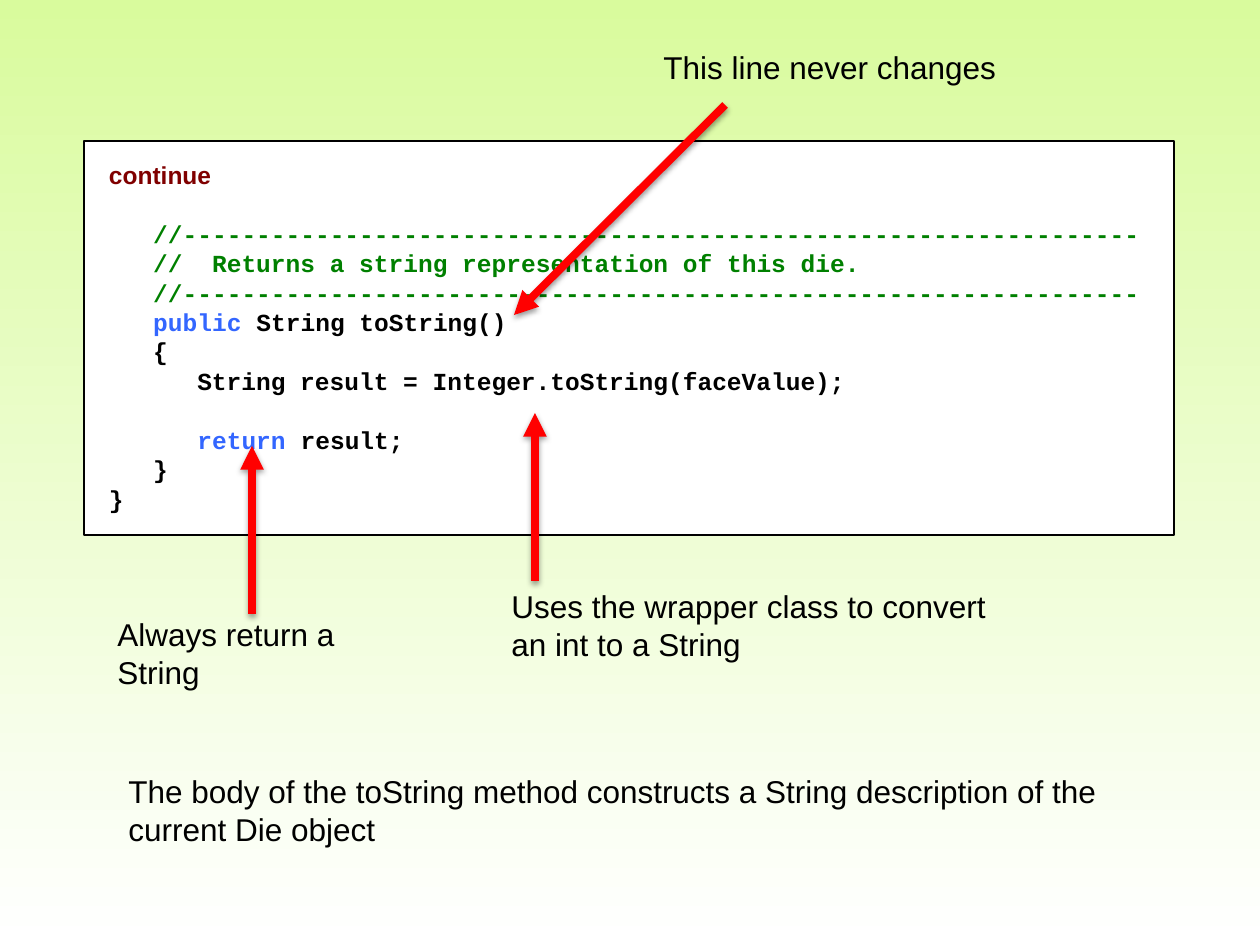
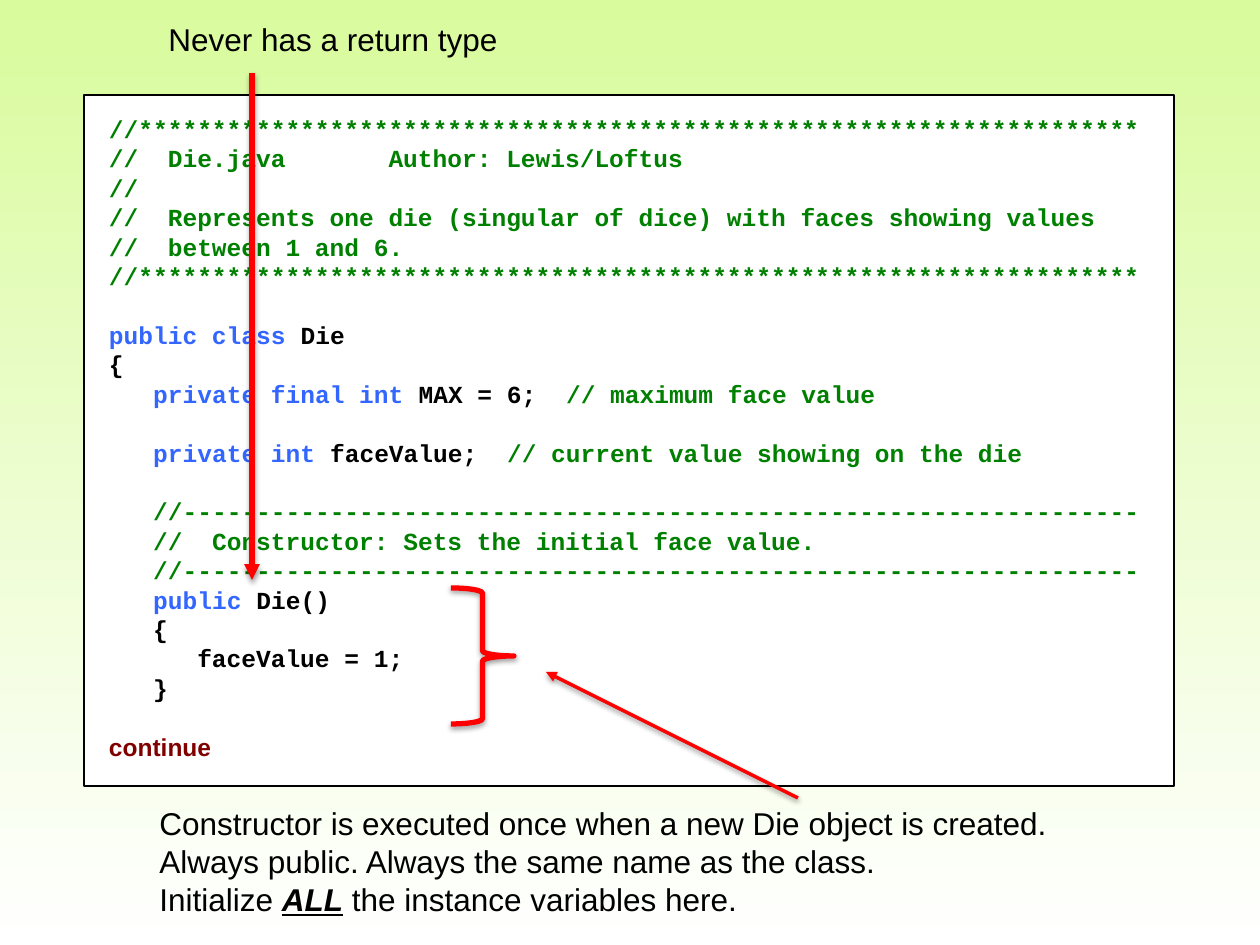
from dataclasses import dataclass

import lxml.etree
import pptx
import pptx.dml.color
import pptx.enum.dml
import pptx.enum.shapes
import pptx.enum.text
import pptx.oxml
import pptx.oxml.ns
import pptx.shapes.base
import pptx.slide
import pptx.text.text
import pptx.util


@dataclass(frozen=True)
class Theme:
    top: str = "D9FB9D"
    bottom: str = "FFFFFF"
    panel: str = "FFFFFF"
    text: str = "000000"
    comment: str = "008000"
    keyword: str = "3366FF"
    marker: str = "800000"
    accent: str = "FF0000"
    sans: str = "Arial"
    mono: str = "Courier New"
    code_size: int = 14
    label_size: int = 18
    leading: float = 1.2


@dataclass(frozen=True)
class Box:
    left: int
    top: int
    width: int
    height: int


@dataclass(frozen=True)
class Label:
    box: Box
    lines: tuple[str, ...]
    stressed: str = ""


@dataclass(frozen=True)
class Arrow:
    start: tuple[int, int]
    end: tuple[int, int]
    weight: float


THEME = Theme()
PX_PER_INCH = 126
MARKER = "continue"
KEYWORDS = {"public", "private", "class", "final", "int", "return"}
STARS = "//" + "*" * 68
RULE = "   //" + "-" * 65

TO_STRING_CODE = f"""continue

{RULE}
   //  Returns a string representation of this die.
{RULE}
   public String toString()
   {{
      String result = Integer.toString(faceValue);

      return result;
   }}
}}"""

DIE_CODE = f"""{STARS}
//  Die.java       Author: Lewis/Loftus
//
//  Represents one die (singular of dice) with faces showing values
//  between 1 and 6.
{STARS}

public class Die
{{
   private final int MAX = 6;  // maximum face value

   private int faceValue;  // current value showing on the die

{RULE}
   //  Constructor: Sets the initial face value.
{RULE}
   public Die()
   {{
      faceValue = 1;
   }}

continue"""


def px(n: int) -> int:
    return round(n * pptx.util.Inches(1) / PX_PER_INCH)


def rgb(color: str) -> pptx.dml.color.RGBColor:
    return pptx.dml.color.RGBColor.from_string(color)


def place(box: Box) -> tuple[int, ...]:
    return tuple(px(n) for n in (box.left, box.top, box.width, box.height))


def add_run(p: pptx.text.text._Paragraph, text: str, *, font: str = THEME.sans,
            size: int = THEME.label_size, color: str = THEME.text, bold: bool = False,
            italic: bool = False, underline: bool = False) -> None:
    r = p.add_run()
    r.text = text
    r.font.name = font
    r.font.size = pptx.util.Pt(size)
    r.font.color.rgb = rgb(color)
    r.font.bold = bold
    r.font.italic = italic
    r.font.underline = underline


def add_line(tf: pptx.text.text.TextFrame, first: bool,
             size: int) -> pptx.text.text._Paragraph:
    p = tf.paragraphs[0] if first else tf.add_paragraph()
    p.alignment = pptx.enum.text.PP_ALIGN.LEFT
    p.line_spacing = pptx.util.Pt(size * THEME.leading)
    return p


def add_shadow(sp: pptx.shapes.base.BaseShape) -> None:
    sp._element.spPr.append(pptx.oxml.parse_xml(
        f'<a:effectLst {pptx.oxml.ns.nsdecls("a")}>'
        '<a:outerShdw blurRad="40000" dist="20000" dir="5400000" rotWithShape="0">'
        '<a:srgbClr val="000000"><a:alpha val="38000"/></a:srgbClr>'
        '</a:outerShdw></a:effectLst>'))


def split_code(line: str) -> list[tuple[str, str]]:
    code, slashes, comment = line.partition("//")
    body = code.lstrip(" ")
    indent = code[:len(code) - len(body)]
    keywords = ""
    while body.partition(" ")[0] in KEYWORDS:
        word, space, body = body.partition(" ")
        keywords += word + space
    parts = [(indent, THEME.text), (keywords, THEME.keyword),
             (body, THEME.text), (slashes + comment, THEME.comment)]
    return [part for part in parts if part[0]]


def add_code(s: pptx.slide.Slide, box: Box, code: str) -> None:
    sp = s.shapes.add_shape(pptx.enum.shapes.MSO_SHAPE.RECTANGLE, *place(box))
    sp.shadow.inherit = False
    sp.fill.solid()
    sp.fill.fore_color.rgb = rgb(THEME.panel)
    sp.line.color.rgb = rgb(THEME.text)
    sp.line.width = pptx.util.Pt(0.75)
    tf = sp.text_frame
    tf.word_wrap = True
    tf.vertical_anchor = pptx.enum.text.MSO_ANCHOR.TOP
    tf.margin_left = tf.margin_right = px(25)
    tf.margin_top = tf.margin_bottom = px(19)
    gap = False
    for i, line in enumerate(code.splitlines()):
        if not line:
            gap = True
            continue
        p = add_line(tf, i == 0, THEME.code_size)
        if gap:
            p.space_before = p.line_spacing
        gap = False
        if line == MARKER:
            add_run(p, line, size=THEME.code_size, color=THEME.marker, bold=True)
            continue
        for text, color in split_code(line):
            add_run(p, text, font=THEME.mono, size=THEME.code_size, color=color, bold=True)


def add_label(s: pptx.slide.Slide, label: Label) -> None:
    tf = s.shapes.add_textbox(*place(label.box)).text_frame
    tf.word_wrap = True
    for i, line in enumerate(label.lines):
        p = add_line(tf, i == 0, THEME.label_size)
        if label.stressed and label.stressed in line:
            before, word, after = line.partition(label.stressed)
            add_run(p, before)
            add_run(p, word, bold=True, italic=True, underline=True)
            add_run(p, after)
        else:
            add_run(p, line)


def add_arrow(s: pptx.slide.Slide, arrow: Arrow) -> None:
    ends = (px(n) for n in arrow.start + arrow.end)
    sp = s.shapes.add_connector(pptx.enum.shapes.MSO_CONNECTOR.STRAIGHT, *ends)
    sp.line.color.rgb = rgb(THEME.accent)
    sp.line.width = pptx.util.Pt(arrow.weight)
    lxml.etree.SubElement(sp.line._get_or_add_ln(), pptx.oxml.ns.qn("a:tailEnd"),
                          type="triangle")
    add_shadow(sp)


def add_brace(s: pptx.slide.Slide, box: Box) -> None:
    sp = s.shapes.add_shape(pptx.enum.shapes.MSO_SHAPE.RIGHT_BRACE, *place(box))
    sp.fill.background()
    sp.line.color.rgb = rgb(THEME.accent)
    sp.line.width = pptx.util.Pt(3)
    add_shadow(sp)


def set_background(master: pptx.slide.SlideMaster) -> None:
    fill = master.background.fill
    fill.gradient()
    fill.gradient_angle = 270
    for stop, color in zip(fill.gradient_stops, (THEME.top, THEME.bottom)):
        stop.color.rgb = rgb(color)


def add_code_slide(prs: pptx.presentation.Presentation, panel: Box, code: str,
                   labels: list[Label], arrows: list[Arrow]) -> pptx.slide.Slide:
    s = prs.slides.add_slide(prs.slide_layouts.get_by_name("Blank"))
    add_code(s, panel, code)
    for label in labels:
        add_label(s, label)
    for arrow in arrows:
        add_arrow(s, arrow)
    return s


def main() -> None:
    prs = pptx.Presentation()
    prs.slide_width, prs.slide_height = px(1260), px(945)
    set_background(prs.slide_master)

    add_code_slide(
        prs, Box(84, 141, 1090, 394), TO_STRING_CODE,
        [Label(Box(651, 42, 362, 50), ("This line never changes",)),
         Label(Box(499, 581, 513, 89),
               ("Uses the wrapper class to convert", "an int to a String")),
         Label(Box(105, 609, 253, 89), ("Always return a", "String")),
         Label(Box(116, 766, 1012, 89),
               ("The body of the toString method constructs a String description of the",
                "current Die object"))],
        [Arrow((725, 105), (514, 315), 4.5),
         Arrow((535, 581), (535, 413), 4.5),
         Arrow((252, 614), (252, 446), 4.5)])

    s = add_code_slide(
        prs, Box(84, 95, 1090, 691), DIE_CODE,
        [Label(Box(147, 798, 921, 127),
               ("Constructor is executed once when a new Die object is created.",
                "Always public. Always the same name as the class.",
                "Initialize ALL the instance variables here."), stressed="ALL"),
         Label(Box(156, 14, 358, 50), ("Never has a return type",))],
        [Arrow((798, 798), (546, 672), 2),
         Arrow((252, 73), (252, 580), 3)])
    add_brace(s, Box(451, 588, 63, 136))

    prs.save("out.pptx")


if __name__ == "__main__":
    main()
